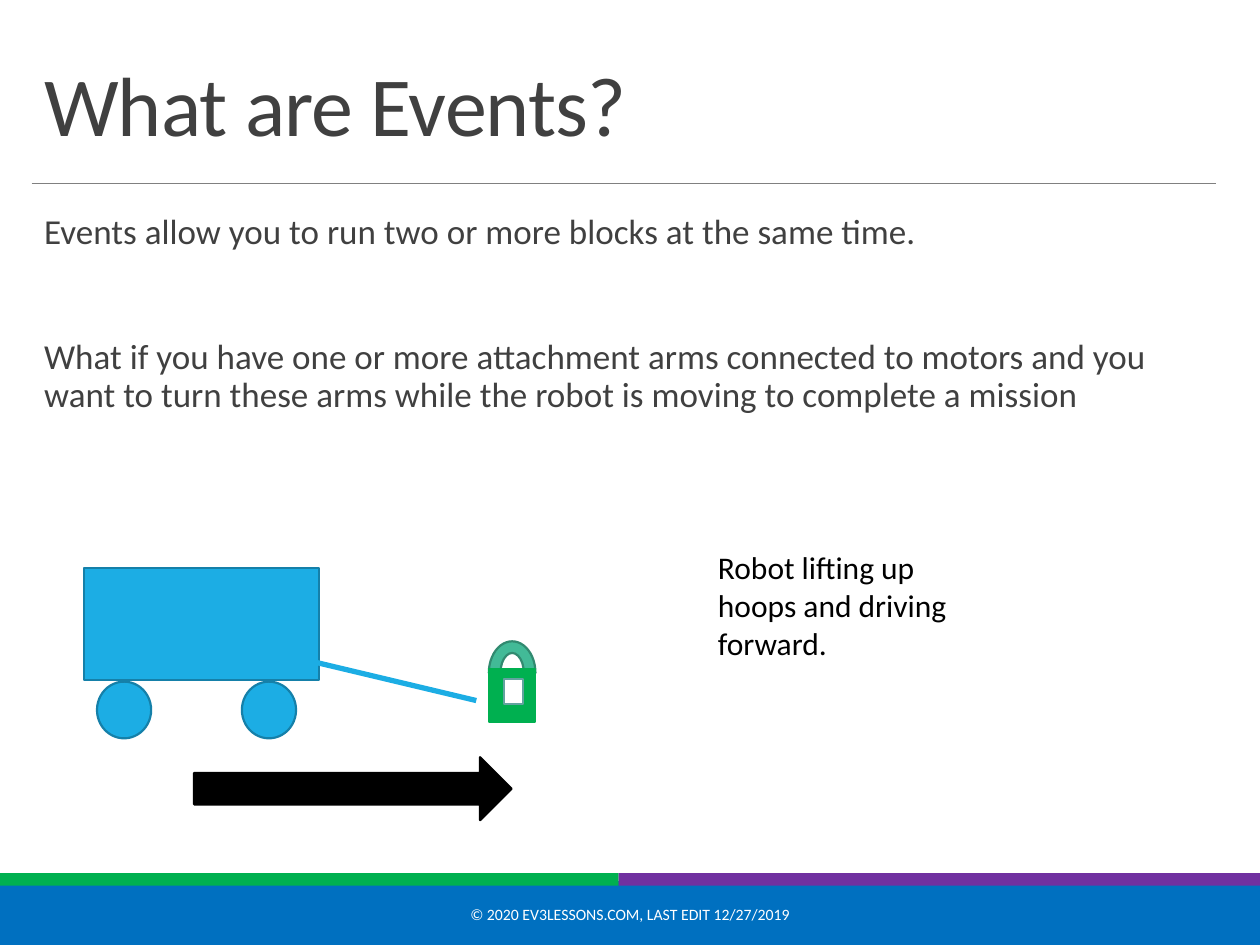
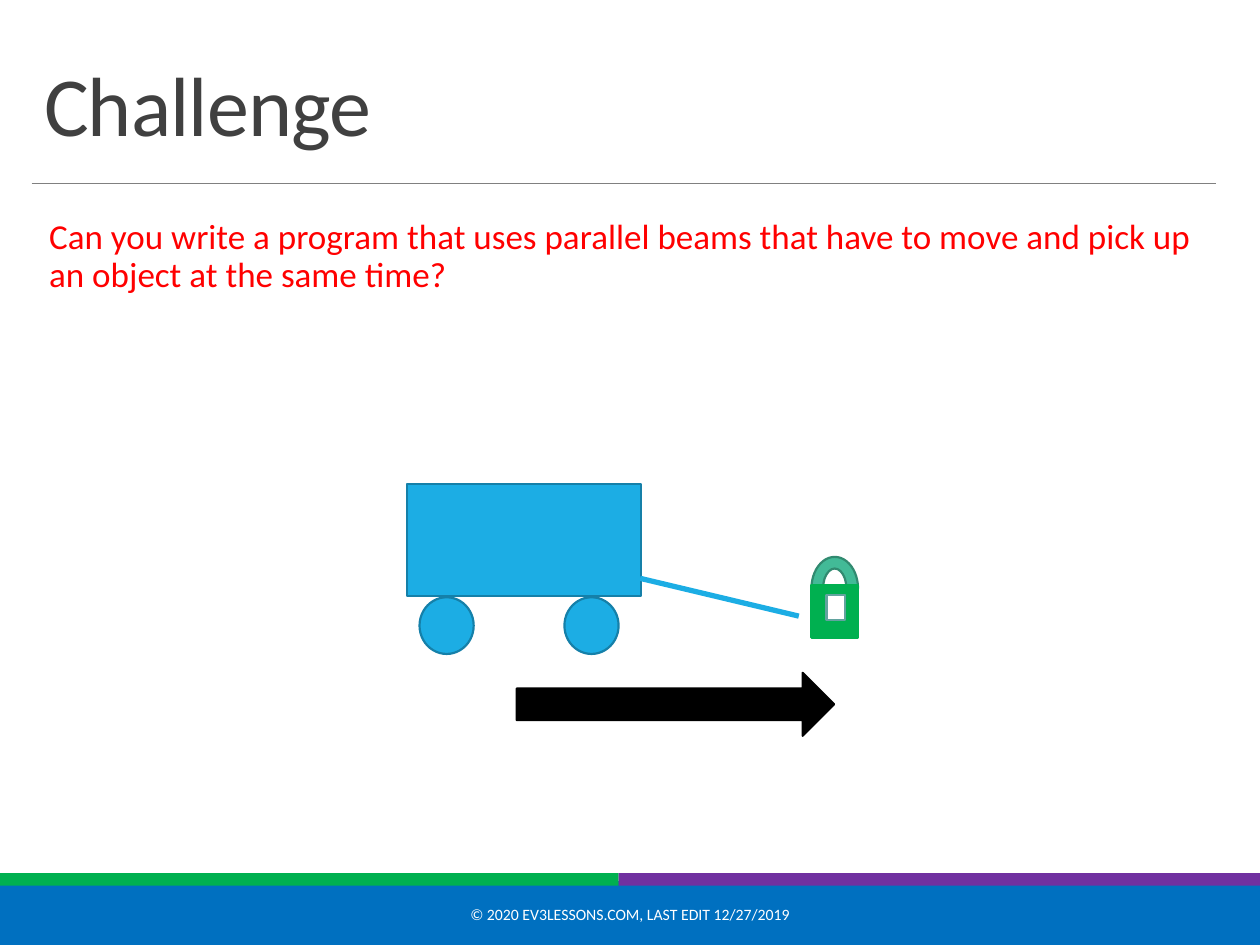
import dataclasses

import pptx
import pptx.dml.color
import pptx.enum.shapes
import pptx.enum.text
import pptx.oxml.ns
import pptx.util
from lxml import etree

Pt = pptx.util.Pt
MSO = pptx.enum.shapes.MSO_SHAPE
ALIGN = pptx.enum.text.PP_ALIGN
ANCHOR = pptx.enum.text.MSO_ANCHOR
qn = pptx.oxml.ns.qn

# The slide is a grid of square cells, 10 columns by 7.5 rows.
COLS, ROWS = 10, 7.5
CELL = pptx.util.Inches(1)


@dataclasses.dataclass(frozen=True)
class Theme:
    font: str = "Calibri"
    text: str = "404040"
    black: str = "000000"
    white: str = "FFFFFF"
    alert: str = "FF0000"
    rule: str = "808080"
    footer: str = "0070C0"
    green: str = "00B050"
    purple: str = "7030A0"
    robot: str = "1CADE4"
    robot_edge: str = "1580A9"
    shackle: str = "42BA97"
    shackle_edge: str = "318A70"
    keyhole_edge: str = "62A39F"
    title_size: float = 48
    body_size: float = 20
    note_size: float = 18
    footer_size: float = 9
    edge: float = 1.25


THEME = Theme()


def cells(*values):
    return [round(v * CELL) for v in values]


def rgb(value):
    return pptx.dml.color.RGBColor.from_string(value)


def shape(shapes, kind, at, fill, edge=None):
    sp = shapes.add_shape(kind, *cells(*at))
    sp.shadow.inherit = False
    sp.fill.solid()
    sp.fill.fore_color.rgb = rgb(fill)
    if edge:
        sp.line.color.rgb = rgb(edge)
        sp.line.width = Pt(THEME.edge)
    else:
        sp.line.fill.background()
    return sp


def line(shapes, start, end, color, width):
    straight = pptx.enum.shapes.MSO_CONNECTOR.STRAIGHT
    cxn = shapes.add_connector(straight, *cells(*start, *end))
    cxn.line.color.rgb = rgb(color)
    cxn.line.width = Pt(width)
    etree.SubElement(cxn._element.spPr, qn("a:effectLst"))


def add_run(p, text, size, color):
    r = p.add_run()
    r.text = text
    r.font.name = THEME.font
    r.font.size = Pt(size)
    r.font.color.rgb = rgb(color)
    return r


def place(sp, at):
    sp.left, sp.top, sp.width, sp.height = cells(*at)
    tf = sp.text_frame
    tf.word_wrap = True
    tf.auto_size = pptx.enum.text.MSO_AUTO_SIZE.NONE
    return tf


def text_box(slide, at, text, size, color, align=ALIGN.LEFT, anchor=ANCHOR.TOP):
    tf = place(slide.shapes.add_textbox(0, 0, 0, 0), at)
    tf.vertical_anchor = anchor
    p = tf.paragraphs[0]
    p.alignment = align
    add_run(p, text, size, color)


def title(slide, text):
    tf = place(slide.shapes.title, (0.25, 0.31, 9.4, 0.96))
    tf.vertical_anchor = ANCHOR.BOTTOM
    p = tf.paragraphs[0]
    p.alignment = ALIGN.LEFT
    p.line_spacing = 0.85
    r = add_run(p, text, THEME.title_size, THEME.text)
    r._r.get_or_add_rPr().set("spc", "-50")


def body(slide, at, paragraphs, color, gap=12):
    """Fill the body placeholder; gap is the space between paragraphs in points."""
    tf = place(slide.placeholders[1], at)
    tf.margin_left = tf.margin_right = 0
    for i, text in enumerate(paragraphs):
        p = tf.add_paragraph() if i else tf.paragraphs[0]
        pPr = p._p.get_or_add_pPr()
        pPr.set("marL", str(cells(0.1)[0]))
        pPr.set("indent", "0")
        etree.SubElement(pPr, qn("a:buNone"))
        p.line_spacing = 0.9
        p.space_before = Pt(gap if i else 0)
        p.space_after = Pt(2)
        add_run(p, text, THEME.body_size, color)


def new_slide(prs, heading):
    """Add a slide with the shared bands, title rule, footer and title."""
    slide = prs.slides.add_slide(prs.slide_layouts[1])
    shapes = slide.shapes
    split = 4.91
    shape(shapes, MSO.RECTANGLE, (0, 7, COLS, ROWS - 7), THEME.footer, THEME.footer)
    shape(shapes, MSO.RECTANGLE, (0, 6.93, split, 0.1), THEME.green)
    shape(shapes, MSO.RECTANGLE, (split, 6.93, COLS - split, 0.1), THEME.purple)
    line(shapes, (0.25, 1.46), (9.65, 1.46), THEME.rule, 0.5)
    text_box(slide, (3.02, 7.06, 3.96, 0.4),
             "© 2020 EV3LESSONS.COM, LAST EDIT 12/27/2019",
             THEME.footer_size, THEME.white, ALIGN.CENTER, ANCHOR.MIDDLE)
    title(slide, heading)
    return slide


def robot(slide, x, y):
    shapes = slide.shapes.add_group_shape().shapes
    shape(shapes, MSO.RECTANGLE, (x, y, 1.86, 0.89), THEME.robot, THEME.robot_edge)
    for wheel in (0.1, 1.25):
        shape(shapes, MSO.OVAL, (x + wheel, y + 0.9, 0.43, 0.45),
              THEME.robot, THEME.robot_edge)


def padlock(slide, x, y):
    shapes = slide.shapes.add_group_shape().shapes
    shape(shapes, MSO.BLOCK_ARC, (x, y, 0.37, 0.5), THEME.shackle, THEME.shackle_edge)
    shape(shapes, MSO.RECTANGLE, (x, y + 0.22, 0.37, 0.42), THEME.green, THEME.green)
    shape(shapes, MSO.RECTANGLE, (x + 0.12, y + 0.3, 0.15, 0.2),
          THEME.white, THEME.keyhole_edge)


def lifting_scene(slide, x, y):
    """Draw the robot with its arm, the hoop to lift and the driving direction."""
    robot(slide, x, y)
    padlock(slide, x + 3.21, y + 0.58)
    line(slide.shapes, (x + 1.85, y + 0.75), (x + 3.11, y + 1.05), THEME.robot, 3)
    shape(slide.shapes, MSO.RIGHT_ARROW, (x + 0.87, y + 1.5, 2.52, 0.5),
          THEME.black, THEME.black)


def main():
    prs = pptx.Presentation()
    prs.slide_width, prs.slide_height = cells(COLS, ROWS)

    events = new_slide(prs, "What are Events?")
    body(events, (0.25, 1.65, 9.4, 5.09), [
        "Events allow you to run two or more blocks at the same time.",
        "What if you have one or more attachment arms connected to motors and you "
        "want to turn these arms while the robot is moving to complete a mission",
    ], THEME.text, gap=48)
    text_box(events, (5.6, 4.3, 2.27, 1.01),
             "Robot lifting up hoops and driving forward.",
             THEME.note_size, THEME.black)
    lifting_scene(events, 0.67, 4.51)

    challenge = new_slide(prs, "Challenge")
    body(challenge, (0.29, 1.69, 9.25, 4.37), [
        "Can you write a program that uses parallel beams that have to move and "
        "pick up an object at the same time?",
    ], THEME.alert)
    lifting_scene(challenge, 3.23, 3.84)

    prs.save("out.pptx")


if __name__ == "__main__":
    main()
